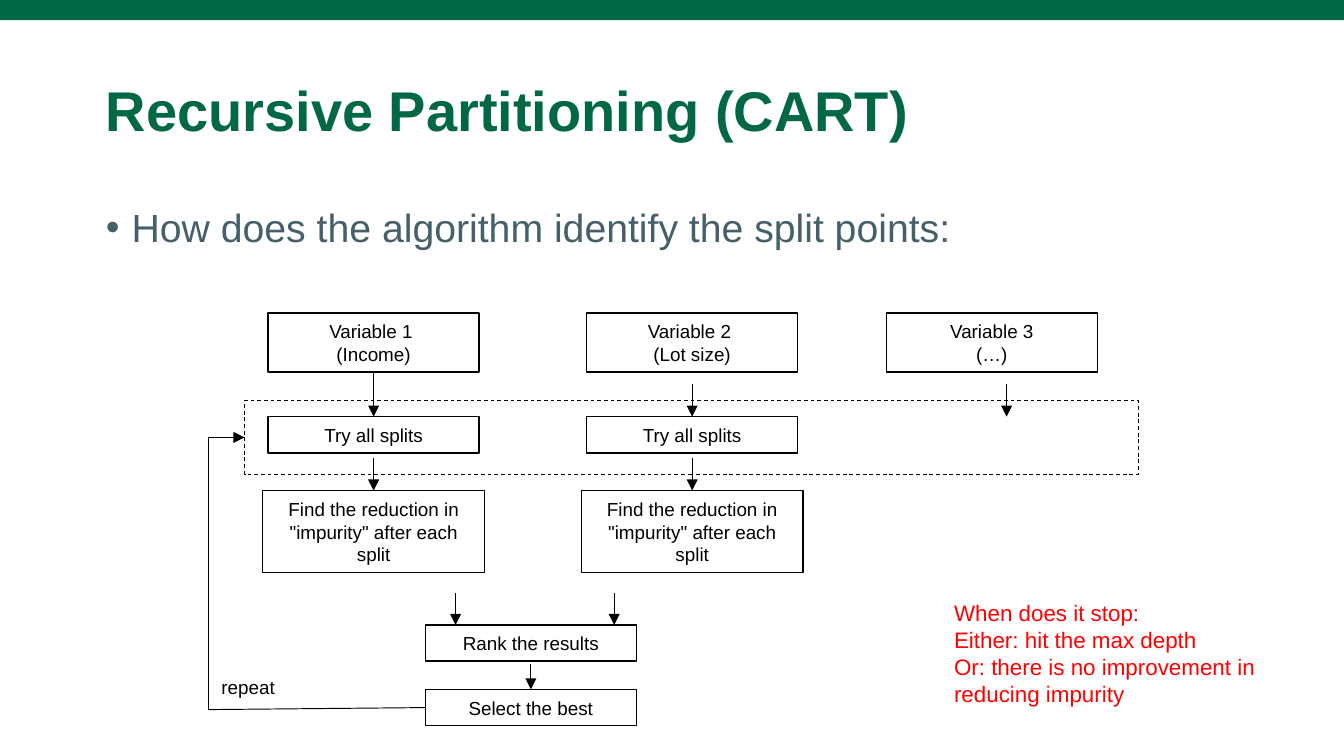
import pptx
import pptx.util
import pptx.dml.color
import pptx.enum.dml
import pptx.enum.shapes
import pptx.enum.text
import pptx.oxml
import pptx.oxml.ns

RGB = pptx.dml.color.RGBColor
GREEN = RGB(0x00, 0x67, 0x47)
SLATE = RGB(0x46, 0x60, 0x69)
BLACK = RGB(0x00, 0x00, 0x00)
RED = RGB(0xFF, 0x00, 0x00)

WIDE = 10
HIGH = WIDE * 9 / 16
FONT = "Arial"
SMALL = 10.1
TOP, LEFT, BASE = 0, 1, 2

# Centres of the three variable columns and tops of the rows, in inches
COLS = (2.78, 5.15, 7.38)
VAR, TRY, FIND, RANK, BEST = 2.33, 3.1, 3.65, 4.65, 5.13
BOX, ONE, TWO, THREE = 1.57, 0.27, 0.44, 0.61
STEP = 0.24
LOOP = 1.55
BAND, DEEP = 2.98, 0.55

ALIGN = pptx.enum.text.PP_ALIGN
ANCHOR = pptx.enum.text.MSO_ANCHOR
inch = pptx.util.Inches


def add_xml(node, text):
    """Append a DrawingML element to a node."""
    ns = pptx.oxml.ns.nsdecls("a")
    node.append(pptx.oxml.parse_xml(text.replace("/>", f" {ns}/>", 1)))


def write(shape, text, size, color, align=ALIGN.LEFT, bold=False):
    frame = shape.text_frame
    frame.word_wrap = True
    frame.text = text
    for para in frame.paragraphs:
        para.alignment = align
        for run in para.runs:
            font = run.font
            font.name, font.size, font.bold = FONT, pptx.util.Pt(size), bold
            font.color.rgb = color
    return frame


def add_text(slide, area, text, size, color, bold=False):
    shape = slide.shapes.add_textbox(*map(inch, area))
    return write(shape, text, size, color, bold=bold)


def add_rect(slide, area):
    kind = pptx.enum.shapes.MSO_SHAPE.RECTANGLE
    shape = slide.shapes.add_shape(kind, *map(inch, area))
    shape.shadow.inherit = False
    return shape


def add_box(slide, mid, top, high, text, wide=BOX):
    """Outlined box centred on mid, with centred text."""
    box = add_rect(slide, (mid - wide / 2, top, wide, high))
    box.fill.background()
    box.line.color.rgb = BLACK
    box.line.width = pptx.util.Pt(0.75)
    write(box, text, SMALL, BLACK, ALIGN.CENTER)
    return box


def add_line(slide, start, end, head=True):
    """Straight line; each end is a point or a (shape, side) pair."""
    kind = pptx.enum.shapes.MSO_CONNECTOR.STRAIGHT
    ends = [(0, 0) if hasattr(e[0], "shape_id") else e for e in (start, end)]
    line = slide.shapes.add_connector(kind, *map(inch, ends[0] + ends[1]))
    if hasattr(start[0], "shape_id"):
        line.begin_connect(*start)
    if hasattr(end[0], "shape_id"):
        line.end_connect(*end)
    line.line.color.rgb = BLACK
    line.line.width = pptx.util.Pt(0.5)
    if head:
        add_xml(line.line._get_or_add_ln(), '<a:tailEnd type="triangle"/>')
    add_xml(line._element.spPr, "<a:effectLst/>")


def add_head(slide):
    bar = add_rect(slide, (0, 0, WIDE, 0.15))
    bar.fill.solid()
    bar.fill.fore_color.rgb = GREEN
    bar.line.fill.background()

    title = add_text(slide, (0.69, 0.3, 8.62, 1.09),
                     "Recursive Partitioning (CART)", 30, GREEN, True)
    title.vertical_anchor = ANCHOR.MIDDLE
    title.paragraphs[0].line_spacing = 0.9

    body = add_text(slide, (0.69, 1.5, 8.62, 3.57),
                    "How does the algorithm identify the split points:",
                    21, SLATE)
    para = body.paragraphs[0]
    para.line_spacing = 0.9
    props = para._p.get_or_add_pPr()
    props.set("marL", str(inch(0.19)))
    props.set("indent", str(-inch(0.19)))
    add_xml(props, '<a:buFont typeface="Arial"/>')
    add_xml(props, '<a:buChar char="•"/>')


def add_flow(slide):
    frame = add_rect(slide, (1.82, BAND, 6.65, DEEP))
    frame.fill.background()
    frame.line.color.rgb = BLACK
    frame.line.width = pptx.util.Pt(0.5)
    frame.line.dash_style = pptx.enum.dml.MSO_LINE.DASH

    names = ("Variable 1 \n(Income)", "Variable 2 \n(Lot size)",
             "Variable 3\n(…)")
    tops = [add_box(slide, mid, VAR, TWO, name)
            for mid, name in zip(COLS, names)]
    for i, mid in enumerate(COLS[:2]):
        split = add_box(slide, mid, TRY, ONE, "Try all splits")
        find = add_box(slide, mid, FIND, THREE, "Find the reduction in "
                       "\"impurity\" after each split", 1.65)
        start = (tops[0], BASE) if i == 0 else (mid, TRY - STEP)
        add_line(slide, start, (split, TOP))
        add_line(slide, (mid, FIND - STEP), (find, TOP))
    add_line(slide, (7.49, TRY - STEP), (7.49, TRY))

    mid = 3.95
    add_box(slide, mid, RANK, ONE, "Rank the results")
    best = add_box(slide, mid, BEST, ONE, "Select the best")
    for x in (3.39, 4.57):
        add_line(slide, (x, RANK - STEP), (x, RANK))
    add_line(slide, (mid, 4.94), (best, TOP))

    low, high = (LOOP, 5.28), (LOOP, BAND + DEEP / 2)
    add_line(slide, (best, LEFT), low, False)
    add_line(slide, low, high, False)
    add_line(slide, high, (frame, LEFT))
    add_text(slide, (LOOP, 4.98, 0.74, ONE), "repeat", SMALL, BLACK)


def main():
    deck = pptx.Presentation()
    deck.slide_width, deck.slide_height = inch(WIDE), inch(HIGH)
    slide = deck.slides.add_slide(deck.slide_layouts[6])
    add_head(slide)
    add_flow(slide)
    add_text(slide, (7, 4.41, 2.75, 0.91),
             "When does it stop:\nEither: hit the max depth\n"
             "Or: there is no improvement in reducing impurity", 12, RED)
    deck.save("out.pptx")


if __name__ == "__main__":
    main()
